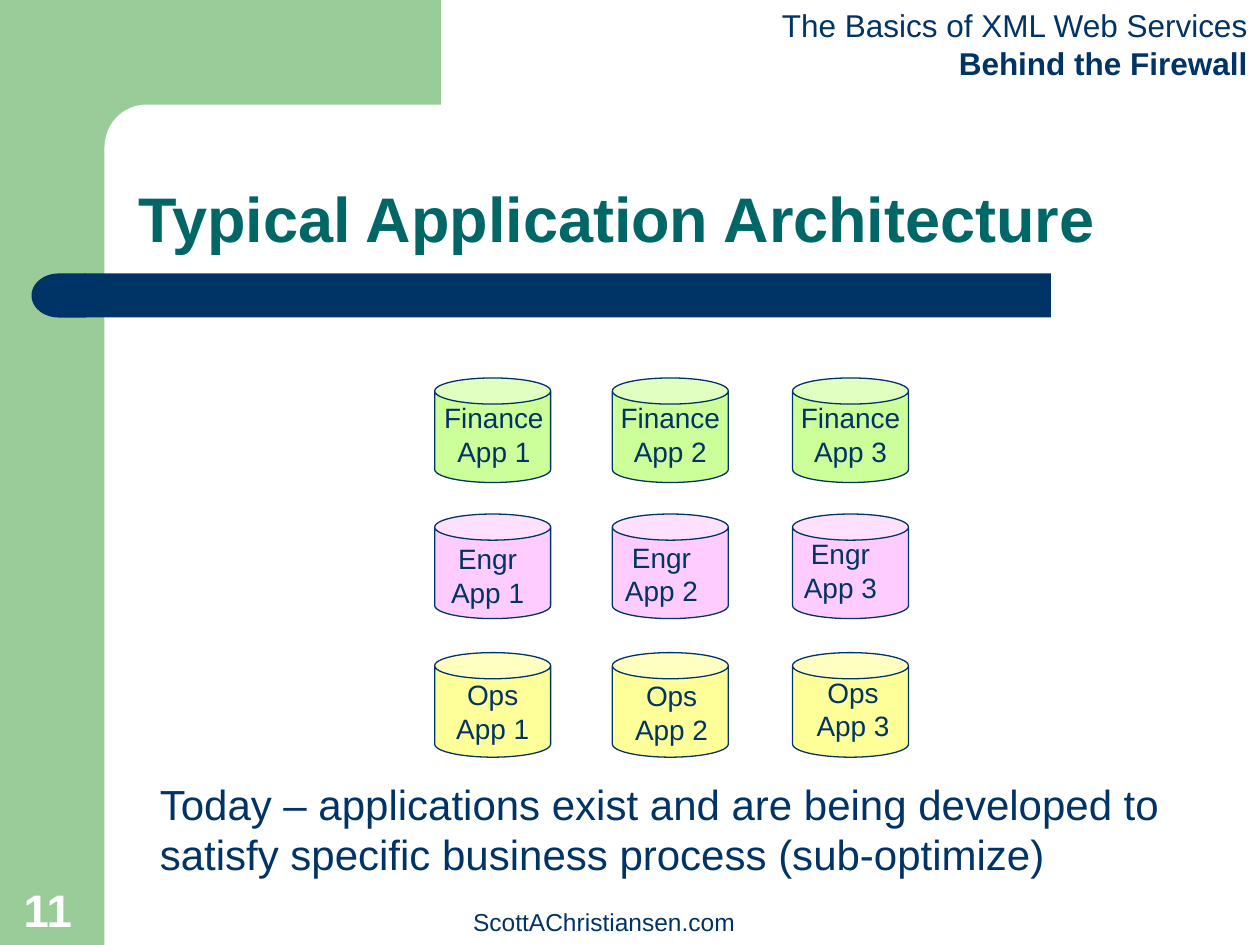
from dataclasses import dataclass

from pptx import Presentation
from pptx.dml.color import RGBColor
from pptx.enum.shapes import MSO_SHAPE
from pptx.enum.text import MSO_ANCHOR, PP_ALIGN
from pptx.util import Inches, Pt

RECTANGLE, ROUNDED = MSO_SHAPE.RECTANGLE, MSO_SHAPE.ROUNDED_RECTANGLE
DELAY, CAN = MSO_SHAPE.FLOWCHART_DELAY, MSO_SHAPE.CAN
TOP, BOTTOM = MSO_ANCHOR.TOP, MSO_ANCHOR.BOTTOM
LEFT, CENTER, RIGHT = PP_ALIGN.LEFT, PP_ALIGN.CENTER, PP_ALIGN.RIGHT


@dataclass(frozen=True)
class Theme:
    font: str = "Arial"
    navy: str = "003366"
    teal: str = "006666"
    sage: str = "99CC99"
    white: str = "FFFFFF"
    lime: str = "CCFF99"
    pink: str = "FFCCFF"
    yellow: str = "FFFF99"
    title: int = 36
    number: int = 26
    body: int = 24
    header: int = 18
    label: int = 16
    footer: int = 14


theme = Theme()

deck = Presentation()
deck.slide_width, deck.slide_height = Inches(10), Inches(7.5)
page = deck.slides.add_slide(deck.slide_layouts[6])


def add_block(preset, left, top, width, height, color):
    block = page.shapes.add_shape(
        preset, Inches(left), Inches(top), Inches(width), Inches(height))
    block.shadow.inherit = False
    block.fill.solid()
    block.fill.fore_color.rgb = RGBColor.from_string(color)
    block.line.fill.background()
    return block


def add_text(text, left, top, width, height, size, color=theme.navy,
             align=LEFT, anchor=TOP, bold=False):
    box = page.shapes.add_textbox(
        Inches(left), Inches(top), Inches(width), Inches(height))
    frame = box.text_frame
    frame.word_wrap = True
    frame.vertical_anchor = anchor
    frame.text = text
    for para in frame.paragraphs:
        para.alignment = align
        para.font.name = theme.font
        para.font.size = Pt(size)
        para.font.bold = bold
        para.font.color.rgb = RGBColor.from_string(color)
    return frame


# Side band, rounded corner and title bar
add_block(RECTANGLE, 0, 0, 0.83, 7.5, theme.sage)
add_block(RECTANGLE, 0.75, 0, 2.75, 1.17, theme.sage)
corner = add_block(ROUNDED, 0.83, 0.83, 5.58, 0.67, theme.white)
corner.adjustments[0] = 0.5
add_block(RECTANGLE, 0.67, 2.17, 7.67, 0.35, theme.navy)
bar_end = add_block(DELAY, 0.25, 2.17, 0.43, 0.35, theme.navy)
bar_end.rotation = 180

# Title and header
title = add_text("Typical Application Architecture", 1, 0.83, 8.75, 1.25,
                 theme.title, theme.teal, anchor=BOTTOM, bold=True)
title.paragraphs[0].line_spacing = 0.9
header = add_text("The Basics of XML Web Services\nBehind the Firewall",
                  6.09, 0, 3.91, 0.7, theme.header, align=RIGHT)
header.word_wrap = False
header.paragraphs[1].font.bold = True

# Applications: one row per department, each label with its centre and top
can_lefts = (3.45, 4.86, 6.29)
can_width, can_height = 0.92, 0.83
departments = (
    ("Finance", 3, theme.lime, 1.25, ((3.92, 3.13), (5.32, 3.13), (6.75, 3.13))),
    ("Engr", 4.08, theme.pink, 1.04, ((3.87, 4.25), (5.25, 4.24), (6.67, 4.21))),
    ("Ops", 5.18, theme.yellow, 0.92, ((3.91, 5.33), (5.33, 5.34), (6.77, 5.31))),
)
for name, can_top, color, label_width, labels in departments:
    for number, (can_left, (middle, label_top)) in enumerate(zip(can_lefts, labels), 1):
        can = add_block(CAN, can_left, can_top, can_width, can_height, color)
        can.adjustments[0] = 0.25
        can.line.color.rgb = RGBColor.from_string(theme.navy)
        can.line.width = Pt(0.75)
        add_text(f"{name} App {number}", middle - label_width / 2, label_top,
                 label_width, 0.64, theme.label, align=CENTER)

# Message, footer and slide number
add_text("Today – applications exist and are being developed to satisfy "
         "specific business process (sub-optimize)",
         1.17, 6.13, 8.17, 0.9, theme.body)
add_text("ScottAChristiansen.com", 3.21, 7.14, 3.17, 0.34, theme.footer,
         align=CENTER, anchor=BOTTOM)
add_text("11", 0.09, 6.94, 0.64, 0.54, theme.number, theme.white,
         anchor=BOTTOM, bold=True)

deck.save("out.pptx")
